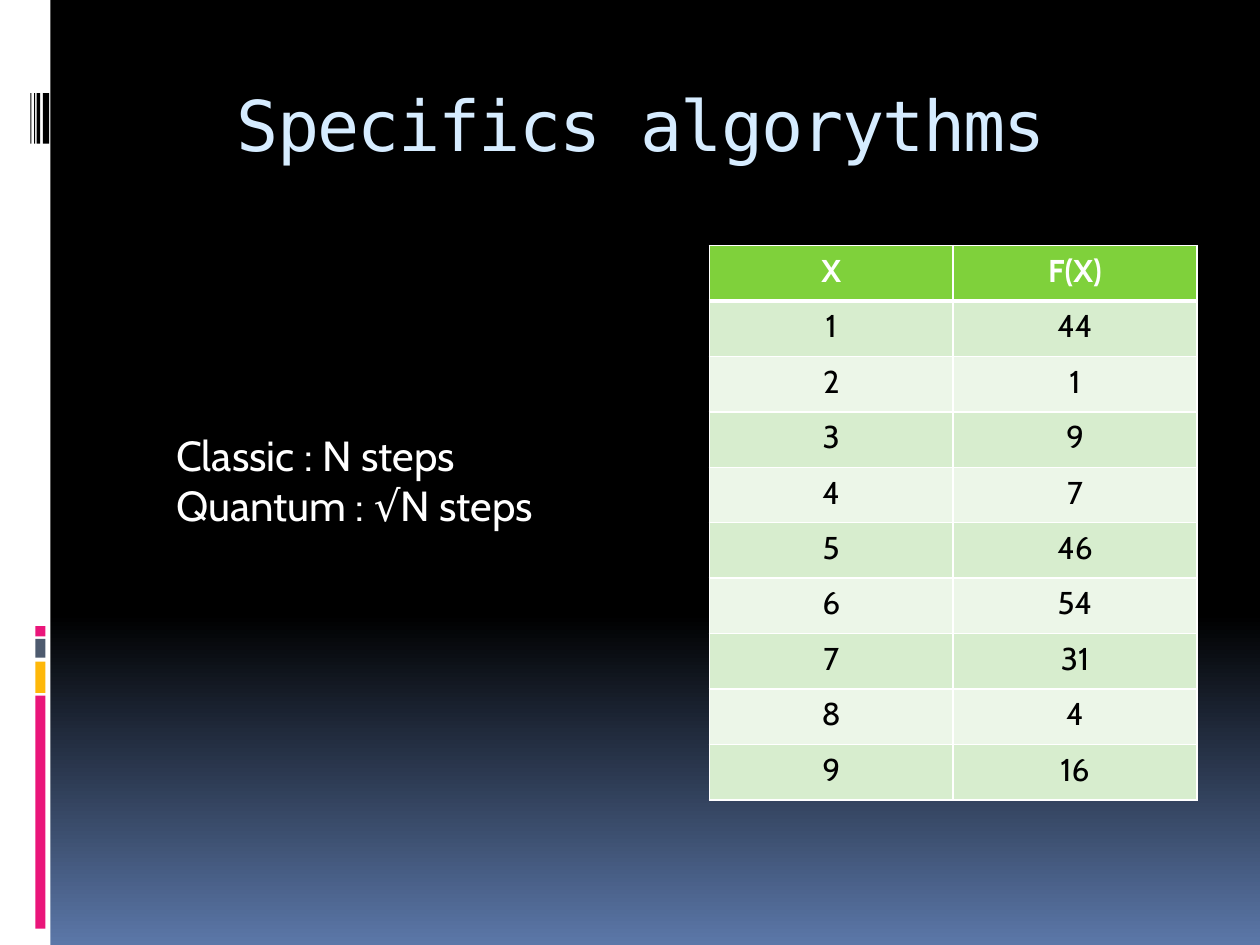
import pptx
import pptx.dml.color
import pptx.enum.shapes
import pptx.enum.text
import pptx.oxml
import pptx.oxml.ns
import pptx.util

RGB = pptx.dml.color.RGBColor
WHITE = RGB(0xFF, 0xFF, 0xFF)
BLACK = RGB(0, 0, 0)
DUSK = RGB(0x5B, 0x77, 0xA8)
PINK = RGB(0xEA, 0x15, 0x7A)
AMBER = RGB(0xFE, 0xB8, 0x0A)
SLATE = RGB(0x4E, 0x5B, 0x6F)
ICE = RGB(0xD6, 0xEC, 0xFF)
GREEN = RGB(0x7F, 0xD1, 0x3B)
BANDS = [RGB(0xEC, 0xF6, 0xE8), RGB(0xD7, 0xED, 0xCE)]
Inches, Pt = pptx.util.Inches, pptx.util.Pt

deck = pptx.Presentation()
deck.slide_width, deck.slide_height = Inches(10), Inches(7.5)
slide = deck.slides.add_slide(deck.slide_layouts[6])


def style(paragraph, font_name, size, color, bold=False):
    font = paragraph.font
    font.name, font.size, font.bold = font_name, Pt(size), bold
    font.color.rgb = color


def border(cell, sides, width):
    """Draw white lines on the given sides, ahead of the cell's fill."""
    properties = cell._tc.get_or_add_tcPr()
    for index, side in enumerate(sides):
        properties.insert(index, pptx.oxml.parse_xml(
            f'<a:ln{side} {pptx.oxml.ns.nsdecls("a")} w="{Pt(width)}">'
            f'<a:solidFill><a:srgbClr val="{WHITE}"/></a:solidFill></a:ln{side}>'))


# Background: black fading to blue at the foot
backdrop = slide.background.fill
backdrop.gradient()
backdrop.gradient_angle = 270
for stop, position, color in zip(backdrop.gradient_stops, (0.65, 1), (BLACK, DUSK)):
    stop.position = position
    stop.color.rgb = color

# Left strip with its coloured blocks and black bars
strip = [(0, 0, 0.4, 7.5, WHITE)]
strip += [(0.28, top, 0.08, height, color) for top, height, color in (
    (5.52, 1.85, PINK), (5.25, 0.25, AMBER), (5.07, 0.15, SLATE), (4.97, 0.08, PINK))]
strip += [(left, 0.74, width, 0.4, BLACK) for left, width in (
    (0.34, 0.05), (0.29, 0.03), (0.27, 0.01), (0.24, 0.01))]
for left, top, width, height, color in strip:
    block = slide.shapes.add_shape(
        pptx.enum.shapes.MSO_SHAPE.RECTANGLE,
        Inches(left), Inches(top), Inches(width), Inches(height))
    block.shadow.inherit = False
    block.fill.solid()
    block.fill.fore_color.rgb = color
    block.line.fill.background()

# Title
title = slide.shapes.add_textbox(Inches(1), Inches(0.56), Inches(8.5), Inches(1)).text_frame
title.word_wrap = True
title.margin_top = Inches(0.09)
title.text = "Specifics algorythms "
heading = title.paragraphs[0]
heading.alignment = pptx.enum.text.PP_ALIGN.CENTER
style(heading, "DejaVu Sans Mono", 40, ICE)
for run in heading.runs:
    run.font.name = "DejaVu Sans Mono"
    run._r.get_or_add_rPr().set("spc", "-100")

# Table of function values
values = [44, 1, 9, 7, 46, 54, 31, 4, 16]
records = [("X", "F(X)"), *enumerate(values, start=1)]
row_height = Inches(0.44)
table = slide.shapes.add_table(
    len(records), 2, Inches(5.63), Inches(1.95),
    Inches(3.87), row_height * len(records)).table
for row, record in enumerate(records):
    table.rows[row].height = row_height
    for column, entry in enumerate(record):
        cell = table.cell(row, column)
        header = row == 0
        cell.text = str(entry)
        cell.fill.solid()
        cell.fill.fore_color.rgb = GREEN if header else BANDS[row % 2]
        label = cell.text_frame.paragraphs[0]
        label.alignment = pptx.enum.text.PP_ALIGN.CENTER
        for run in label.runs:
            style(run, "Cabin", 18, WHITE if header else BLACK, header)
        # The header's heavy rule is shared with the top of the first data row
        border(cell, "B", 3 if header else 0.96)
        border(cell, "T", 3 if row == 1 else 0.96)
        border(cell, "LR", 0.96)

# Step counts
steps = slide.shapes.add_textbox(Inches(1.3), Inches(3.36), Inches(4.17), Inches(0.9)).text_frame
steps.word_wrap = True
steps.auto_size = pptx.enum.text.MSO_AUTO_SIZE.SHAPE_TO_FIT_TEXT
steps.text = "Classic : N steps\nQuantum : √N steps"
for line in steps.paragraphs:
    for run in line.runs:
        style(run, "Cabin", 24, WHITE)

deck.save("out.pptx")
